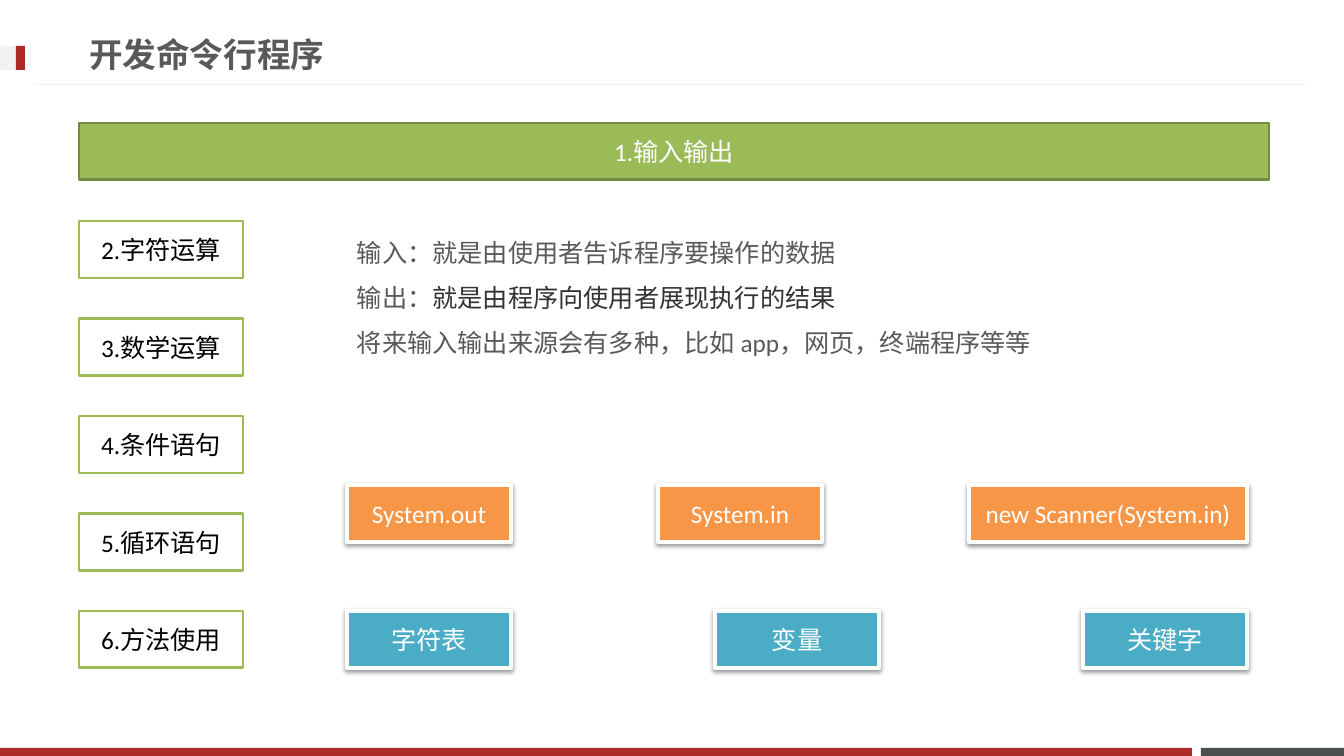
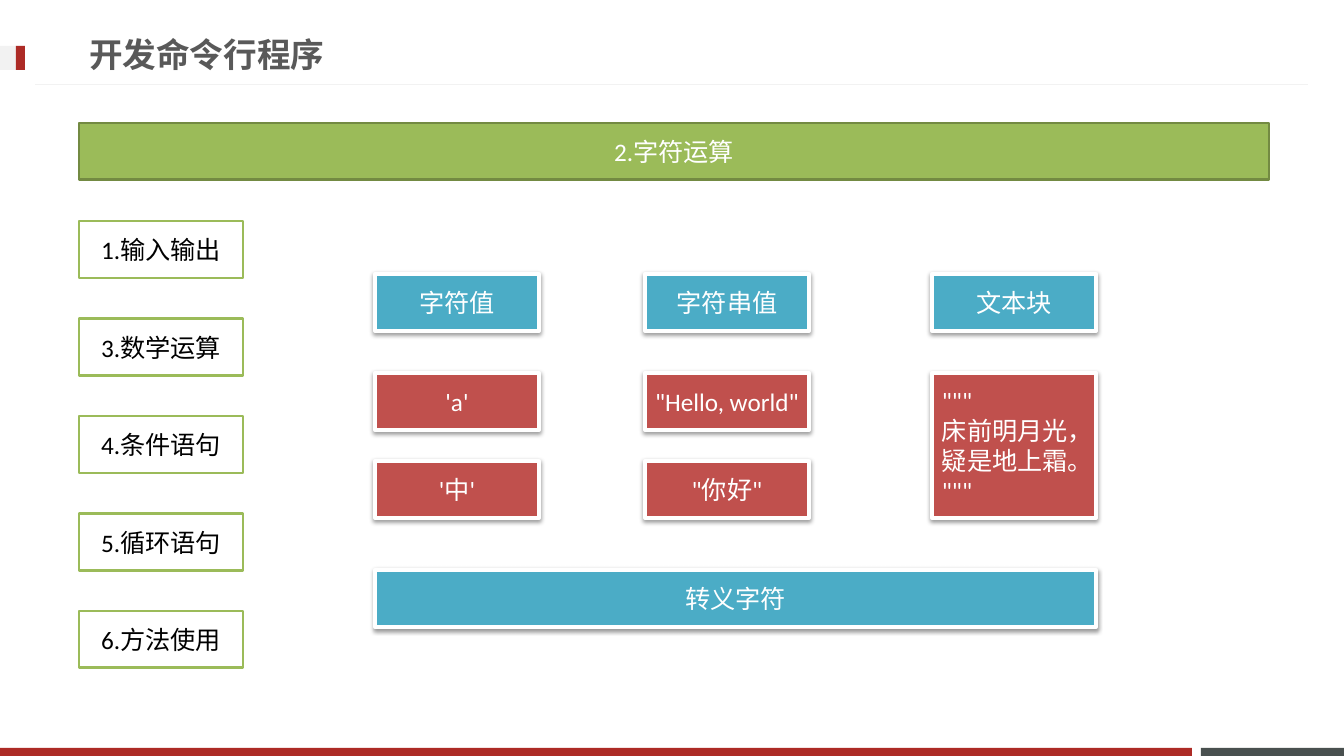
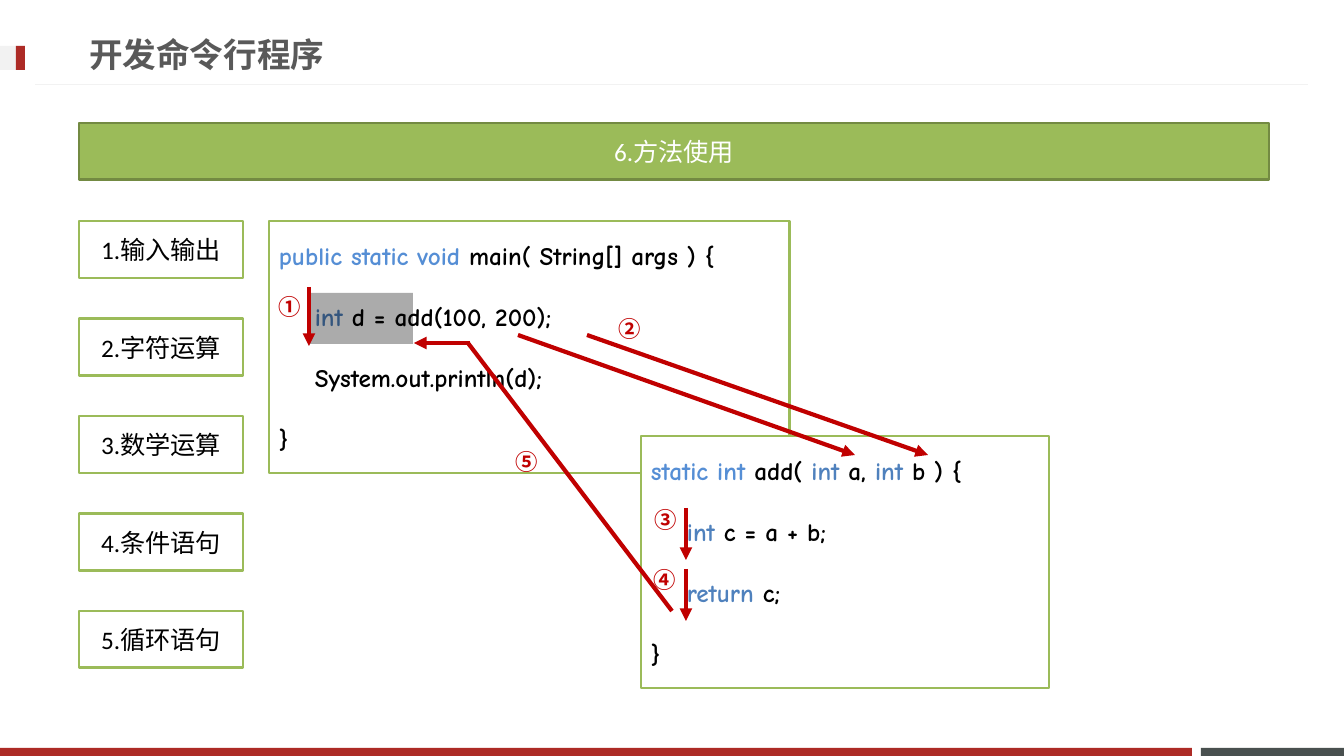
from lxml import etree
from pptx import Presentation
from pptx.dml.color import RGBColor
from pptx.enum.shapes import MSO_CONNECTOR, MSO_SHAPE
from pptx.enum.text import MSO_ANCHOR, PP_ALIGN
from pptx.oxml.ns import qn
from pptx.util import Pt

PX = 12192000 / 1344
RECT = MSO_SHAPE.RECTANGLE
STRAIGHT = MSO_CONNECTOR.STRAIGHT
LEFT, CENTER = PP_ALIGN.LEFT, PP_ALIGN.CENTER
MIDDLE = MSO_ANCHOR.MIDDLE

WHITE = RGBColor(0xFF, 0xFF, 0xFF)
BLACK = RGBColor(0x00, 0x00, 0x00)
GRAY = RGBColor(0x59, 0x59, 0x59)
DARK_GRAY = RGBColor(0x33, 0x33, 0x33)
PALE_GRAY = RGBColor(0xF2, 0xF2, 0xF2)
SLATE = RGBColor(0x49, 0x50, 0x4F)
BRICK = RGBColor(0xAD, 0x2B, 0x26)
GREEN = RGBColor(0x9B, 0xBB, 0x59)
DARK_GREEN = RGBColor(0x73, 0x8A, 0x42)
ORANGE = RGBColor(0xF7, 0x96, 0x46)
TEAL = RGBColor(0x4B, 0xAC, 0xC6)
RED = RGBColor(0xC0, 0x50, 0x4D)
ARROW_RED = RGBColor(0xC0, 0x00, 0x00)
KEYWORD = RGBColor(0x55, 0x8E, 0xD5)
TYPE_BLUE = RGBColor(0x4F, 0x81, 0xBD)

TITLE = "开发命令行程序"
TOPICS = ["1.输入输出", "2.字符运算", "3.数学运算", "4.条件语句", "5.循环语句", "6.方法使用"]
BOX_W, BOX_H = 164, 57
NAV_LEFT, NAV_TOP, NAV_BOTTOM = 79, 221, 611


def px(*lengths):
    return [round(length * PX) for length in lengths]


def add_box(slide, text, place, fill, border=None, color=WHITE, align=CENTER):
    """Add a rectangle; a white border makes it a raised card with a shadow."""
    box = slide.shapes.add_shape(RECT, *px(*place))
    box.shadow.inherit = False
    box.fill.solid()
    box.fill.fore_color.rgb = fill
    if border is None:
        box.line.fill.background()
    else:
        box.line.color.rgb = border
        box.line.width = Pt(3 if border == WHITE else 2)
    if border == WHITE:
        effects = box.element.spPr.find(qn("a:effectLst"))
        shadow = etree.SubElement(effects, qn("a:outerShdw"), blurRad="40000",
                                  dist="20000", dir="5400000", rotWithShape="0")
        shade = etree.SubElement(shadow, qn("a:srgbClr"), val="000000")
        etree.SubElement(shade, qn("a:alpha"), val="38000")
    box.text_frame.text = text
    for paragraph in box.text_frame.paragraphs:
        paragraph.alignment = align
        for run in paragraph.runs:
            run.font.size = Pt(18)
            run.font.name = "Calibri"
            run.font.color.rgb = color
    return box


def add_line(slide, ends, color, width, arrow=False):
    line = slide.shapes.add_connector(STRAIGHT, *px(*ends))
    line.line.color.rgb = color
    line.line.width = Pt(width)
    properties = line.element.spPr
    if arrow:
        etree.SubElement(properties.find(qn("a:ln")), qn("a:tailEnd"), type="triangle")
    etree.SubElement(properties, qn("a:effectLst"))
    return line


prs = Presentation()
prs.slide_width, prs.slide_height = px(1344, 756)
layout = prs.slide_layouts[5]
slides = [prs.slides.add_slide(layout) for _ in range(3)]
io_slide, text_slide, method_slide = slides

# Bands and header rule are drawn once, then moved into the layout
frame = [
    add_box(io_slide, "", (1201, 748, 143, 8), SLATE),
    add_box(io_slide, "", (0, 748, 1192, 8), BRICK),
    add_line(io_slide, (1308, 85, 35, 85), PALE_GRAY, 0.75),
    add_box(io_slide, "", (0, 46, 25, 24), PALE_GRAY),
    add_box(io_slide, "", (16, 46, 9, 24), BRICK),
]
for position, part in enumerate(frame, start=2):
    layout.shapes.element.insert(position, part.element)

# Title, current topic and the other topics
for slide, current in zip(slides, [TOPICS[0], TOPICS[1], TOPICS[5]]):
    title = slide.shapes.title
    title.left, title.top, title.width, title.height = px(79, 26, 967, 57)
    title.text_frame.text = TITLE
    title.text_frame.vertical_anchor = MIDDLE
    heading = title.text_frame.paragraphs[0]
    heading.alignment = LEFT
    heading_font = heading.runs[0].font
    heading_font.size = Pt(24)
    heading_font.name = "Roboto"
    heading_font.bold = True
    heading_font.color.rgb = GRAY

    add_box(slide, current, (NAV_LEFT, 123, 1190, BOX_H), GREEN, DARK_GREEN)
    others = [topic for topic in TOPICS if topic != current]
    for i, topic in enumerate(others):
        top = NAV_TOP + i * (NAV_BOTTOM - NAV_TOP) / (len(others) - 1)
        add_box(slide, topic, (NAV_LEFT, top, BOX_W, BOX_H), WHITE, GREEN, BLACK)

# Slide 1: input and output
CARDS_LEFT, CARDS_W = 347, 900
card_rows = [
    (485, ORANGE, [("System.out", BOX_W), ("System.in", BOX_W), ("new Scanner(System.in)", 278)]),
    (611, TEAL, [("字符表", BOX_W), ("变量", BOX_W), ("关键字", BOX_W)]),
]
for top, fill, cards in card_rows:
    gap = (CARDS_W - sum(width for _, width in cards)) / (len(cards) - 1)
    left = CARDS_LEFT
    for label, width in cards:
        add_box(io_slide, label, (left, top, width, BOX_H), fill, WHITE)
        left += width + gap

explanation = [
    [("输入：就是由使用者告诉程序要操作的数据", "Calibri", GRAY)],
    [("输出：", "Calibri", GRAY), ("就是由程序向使用者展现执行的结果", "Open Sans", DARK_GRAY)],
    [("将来输入输出来源会有多种，比如 app，网页，终端程序等等", "Calibri", GRAY)],
]
explanation_frame = io_slide.shapes.add_textbox(*px(347, 217, 802, 143)).text_frame
explanation_frame.word_wrap = True
for i, pieces in enumerate(explanation):
    paragraph = explanation_frame.add_paragraph() if i else explanation_frame.paragraphs[0]
    paragraph.line_spacing = 1.5
    for text, font_name, color in pieces:
        run = paragraph.add_run()
        run.text = text
        run.font.size = Pt(18)
        run.font.name = font_name
        run.font.color.rgb = color

# Slide 2: characters, strings and text blocks
HEAD_TOP, EXAMPLE_TOP, EXAMPLE_STEP = 274, 373, 88
columns = [
    (375, "字符值", ["'a'", "'中'"]),
    (645, "字符串值", ['"Hello, world"', '"你好"']),
    (932, "文本块", ['"""\n床前明月光，\n疑是地上霜。\n"""']),
]
for left, kind, examples in columns:
    add_box(text_slide, kind, (left, HEAD_TOP, BOX_W, BOX_H), TEAL, WHITE)
    for i, example in enumerate(examples):
        is_block = "\n" in example
        height = EXAMPLE_STEP + BOX_H if is_block else BOX_H
        add_box(text_slide, example, (left, EXAMPLE_TOP + i * EXAMPLE_STEP, BOX_W, height),
                RED, WHITE, align=LEFT if is_block else CENTER)
first_left, last_left = columns[0][0], columns[-1][0]
add_box(text_slide, "转义字符", (first_left, 570, last_left + BOX_W - first_left, BOX_H), TEAL, WHITE)

# Slide 3: a method call, step by step
INDENT = 36
listings = [
    ((269, 221, 521, 252), [
        (0, [("public static void ", KEYWORD), ("main( String[] args ) {", BLACK)]),
        (INDENT, [("int", TYPE_BLUE), (" d = add(100, 200);", BLACK)]),
        (INDENT, [("System.out.println(d);", BLACK)]),
        (0, [("}", BLACK)]),
    ]),
    ((641, 436, 408, 252), [
        (0, [("static int ", KEYWORD), ("add( ", BLACK), ("int", TYPE_BLUE), (" a, ", BLACK),
             ("int", TYPE_BLUE), (" b ) {", BLACK)]),
        (INDENT, [("int", TYPE_BLUE), (" c = a + b;", BLACK)]),
        (INDENT, [("return", TYPE_BLUE), (" c;", BLACK)]),
        (0, [("}", BLACK)]),
    ]),
]
for place, code_lines in listings:
    code_frame = add_box(method_slide, "", place, WHITE, GREEN).text_frame
    for i, (indent, tokens) in enumerate(code_lines):
        paragraph = code_frame.add_paragraph() if i else code_frame.paragraphs[0]
        paragraph.alignment = LEFT
        paragraph.space_before = Pt(22 if i else 0)
        paragraph._p.get_or_add_pPr().set("marL", str(round(indent * PX)))
        for text, color in tokens:
            run = paragraph.add_run()
            run.text = text
            run.font.size = Pt(18)
            run.font.name = "Comic Neue"
            run.font.bold = True
            run.font.color.rgb = color

highlight = add_box(method_slide, "", (309, 293, 104, 51), BLACK)
highlight_color = highlight.element.spPr.find(qn("a:solidFill"))[0]
etree.SubElement(highlight_color, qn("a:alpha"), val="33000")

call_arrows = [
    (518, 335, 855, 455),
    (587, 335, 928, 455),
    (686, 508, 686, 560),
    (309, 287, 309, 346),
    (470, 343, 414, 343),
    (686, 569, 686, 621),
]
for ends in call_arrows:
    add_line(method_slide, ends, ARROW_RED, 3, arrow=True)
add_line(method_slide, (468, 343, 672, 611), ARROW_RED, 3)

step_marks = [("①", 269, 288), ("②", 609, 310), ("③", 645, 501), ("④", 644, 561), ("⑤", 506, 443)]
for mark, left, top in step_marks:
    mark_frame = method_slide.shapes.add_textbox(*px(left, top, 43, 37)).text_frame
    mark_frame.word_wrap = False
    mark_frame.text = mark
    mark_font = mark_frame.paragraphs[0].runs[0].font
    mark_font.size = Pt(16)
    mark_font.name = "Noto Sans CJK SC"
    mark_font.bold = True
    mark_font.color.rgb = ARROW_RED

prs.save("out.pptx")
